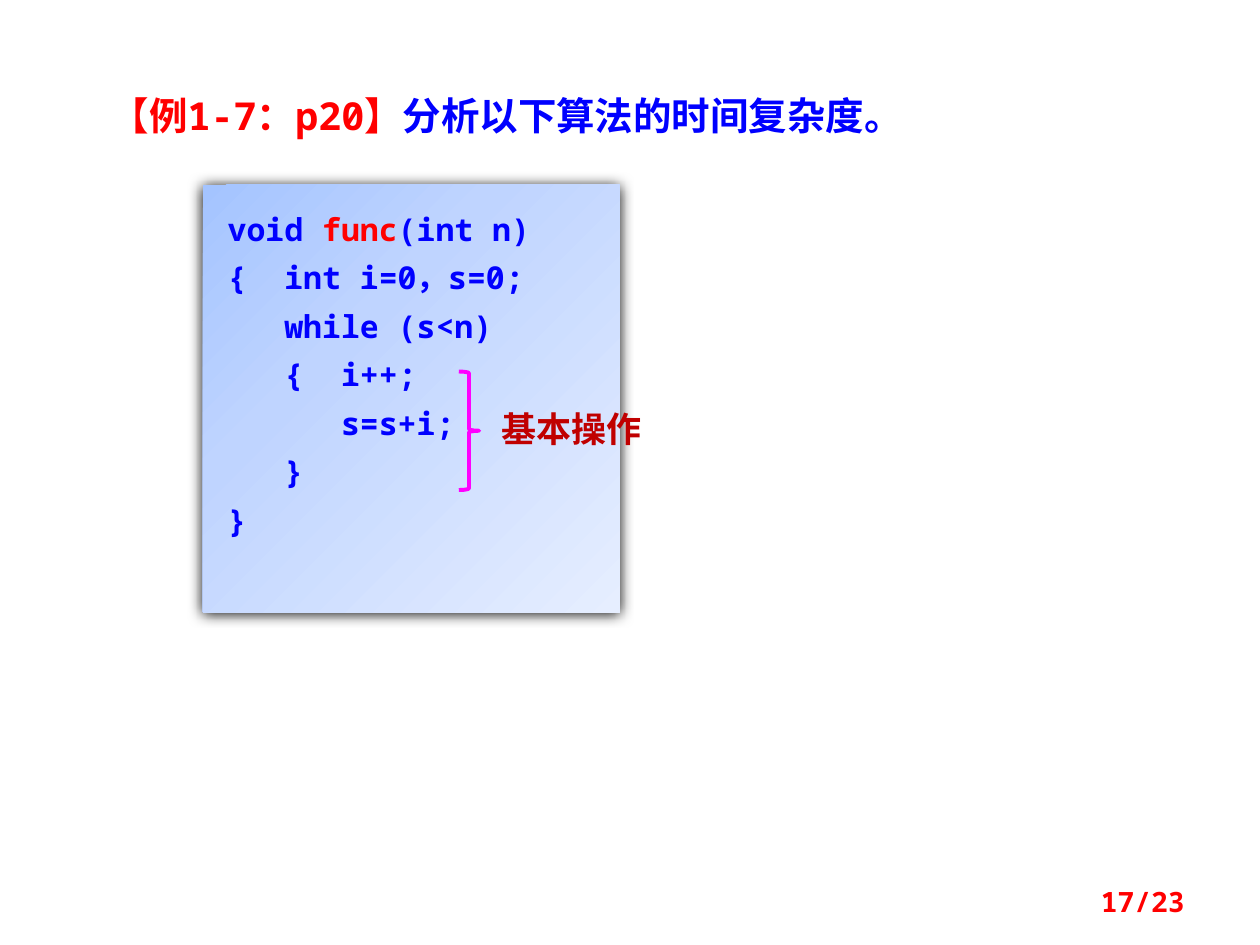
from copy import deepcopy
from pptx import Presentation
from pptx.dml.color import RGBColor
from pptx.enum.shapes import MSO_SHAPE as Shape
from pptx.enum.text import MSO_ANCHOR as Anchor, MSO_AUTO_SIZE as Fit, PP_ALIGN as Align
from pptx.oxml.ns import qn
from pptx.util import Cm, Pt
from lxml.etree import SubElement

MONO, SANS = "Noto Sans Mono", "Noto Sans CJK SC"
RED, BLUE = "FF0000", "0000FF"


def rgb(code):
    return RGBColor.from_string(code)


def write(par, runs, size, align, face=MONO):
    """Fill a paragraph with bold (text, colour) runs."""
    par.alignment = align
    font = par.font
    font.size, font.bold, font.name = Pt(size), True, face
    SubElement(font._element, qn("a:ea"), typeface=SANS)
    for text, code in runs:
        run = par.add_run()
        run.text = text
        run.font.color.rgb = rgb(code)


prs = Presentation()
prs.slide_width, prs.slide_height = Cm(25.4), Cm(19.05)
slide = prs.slides.add_slide(prs.slide_layouts[5])
shapes = slide.shapes

# Title
title = shapes.title
title.left, title.top, title.width, title.height = Cm(1.98), Cm(1.73), Cm(18.21), Cm(1.19)
frame = title.text_frame
frame.auto_size, frame.vertical_anchor = Fit.NONE, Anchor.TOP
write(frame.paragraphs[0], [("【例1-7：p20】", RED), ("分析以下算法的时间复杂度。", BLUE)],
      22, Align.JUSTIFY)

# Code panel
panel = shapes.add_shape(Shape.RECTANGLE, Cm(4.09), Cm(3.73), Cm(8.41), Cm(8.61))
panel.line.fill.background()
panel.fill.gradient()
panel.fill.gradient_angle = 315
stops = panel._element.spPr.find(".//" + qn("a:gsLst"))
stops.append(deepcopy(stops[0]))
shades = [(0, "A4C4FF"), (0.35, "BFD4FF"), (1, "E6EEFF")]
for stop, (place, code) in zip(panel.fill.gradient_stops, shades):
    stop.position, stop.color.rgb = place, rgb(code)

panel.shadow.inherit = False
glow = SubElement(panel._element.spPr.find(qn("a:effectLst")), qn("a:outerShdw"),
                  blurRad=str(Pt(8.5)), dist=str(Pt(1)), dir="5400000",
                  algn="ctr", rotWithShape="0")
SubElement(glow, qn("a:srgbClr"), val="000000")

frame = panel.text_frame
frame.word_wrap, frame.vertical_anchor = True, Anchor.TOP
frame.margin_left = frame.margin_top = Cm(0.5)
frame.margin_right, frame.margin_bottom = Cm(0.25), Cm(0.4)
code = [
    [("void ", BLUE), ("func", RED), ("(int n)", BLUE)],
    [("{  int i=0，s=0;", BLUE)],
    [("   while (s<n)", BLUE)],
    [("   {  i++;", BLUE)],
    [("      s=s+i;", BLUE)],
    [("   }", BLUE)],
    [("}", BLUE)],
]
for row, runs in enumerate(code):
    par = frame.add_paragraph() if row else frame.paragraphs[0]
    if row:
        par.space_before = Pt(6.1)
    write(par, runs, 18, Align.JUSTIFY)

# Brace around the basic operation
brace = shapes.add_shape(Shape.RIGHT_BRACE, Cm(9.25), Cm(7.49), Cm(0.41), Cm(2.39))
brace.shadow.inherit = False
brace.fill.background()
brace.line.color.rgb, brace.line.width = rgb("FF00FF"), Pt(2.25)

# Brace label and page number
labels = [
    ("基本操作", "C00000", 20, SANS, Align.LEFT, Anchor.TOP, (9.86, 8.1, 4.45, 1.09)),
    ("17/23", RED, 16, MONO, Align.RIGHT, Anchor.MIDDLE, (18.21, 17.65, 5.92, 1.02)),
]
for text, hue, size, face, align, anchor, place in labels:
    frame = shapes.add_textbox(*map(Cm, place)).text_frame
    frame.word_wrap, frame.vertical_anchor = True, anchor
    write(frame.paragraphs[0], [(text, hue)], size, align, face)

prs.save("out.pptx")
